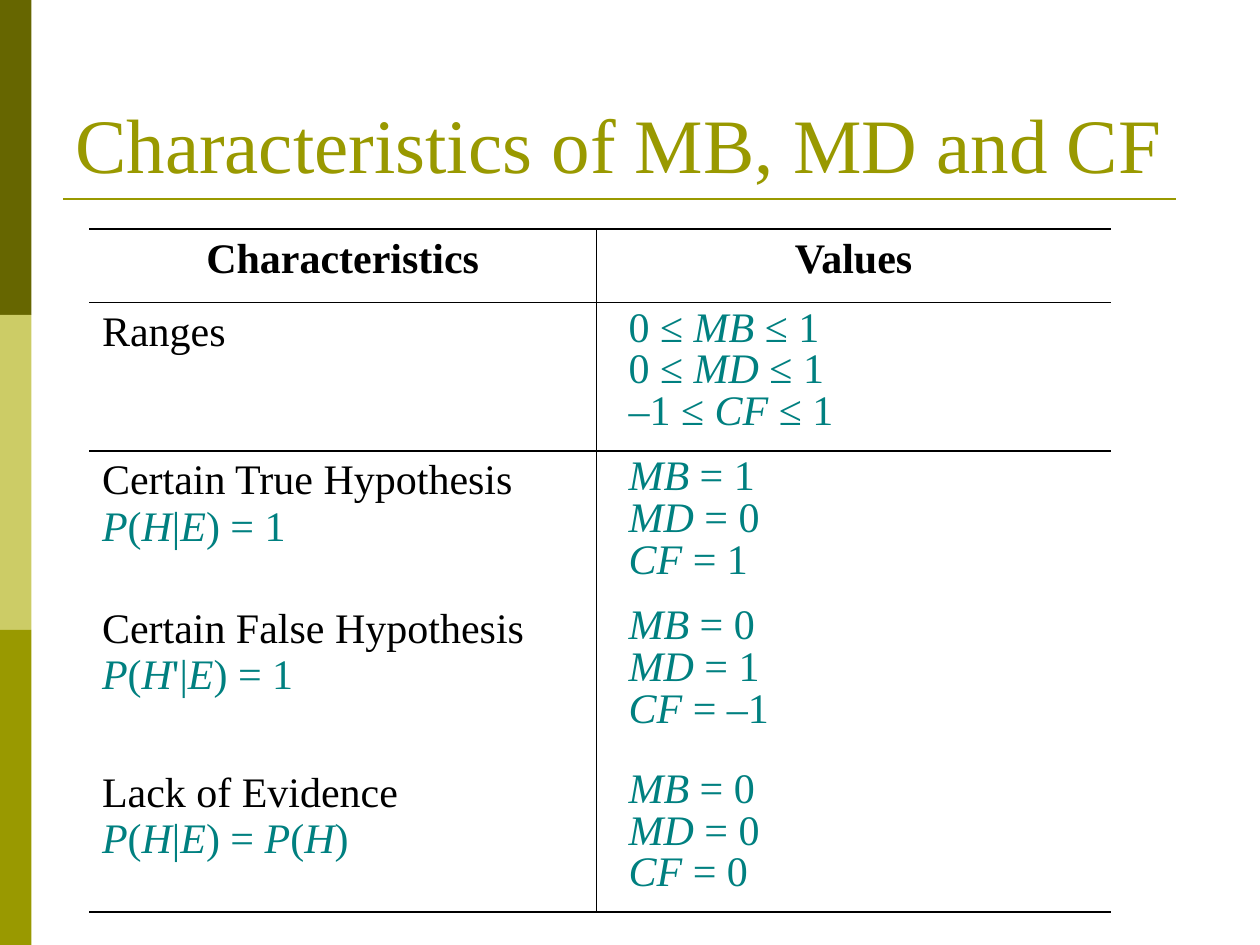
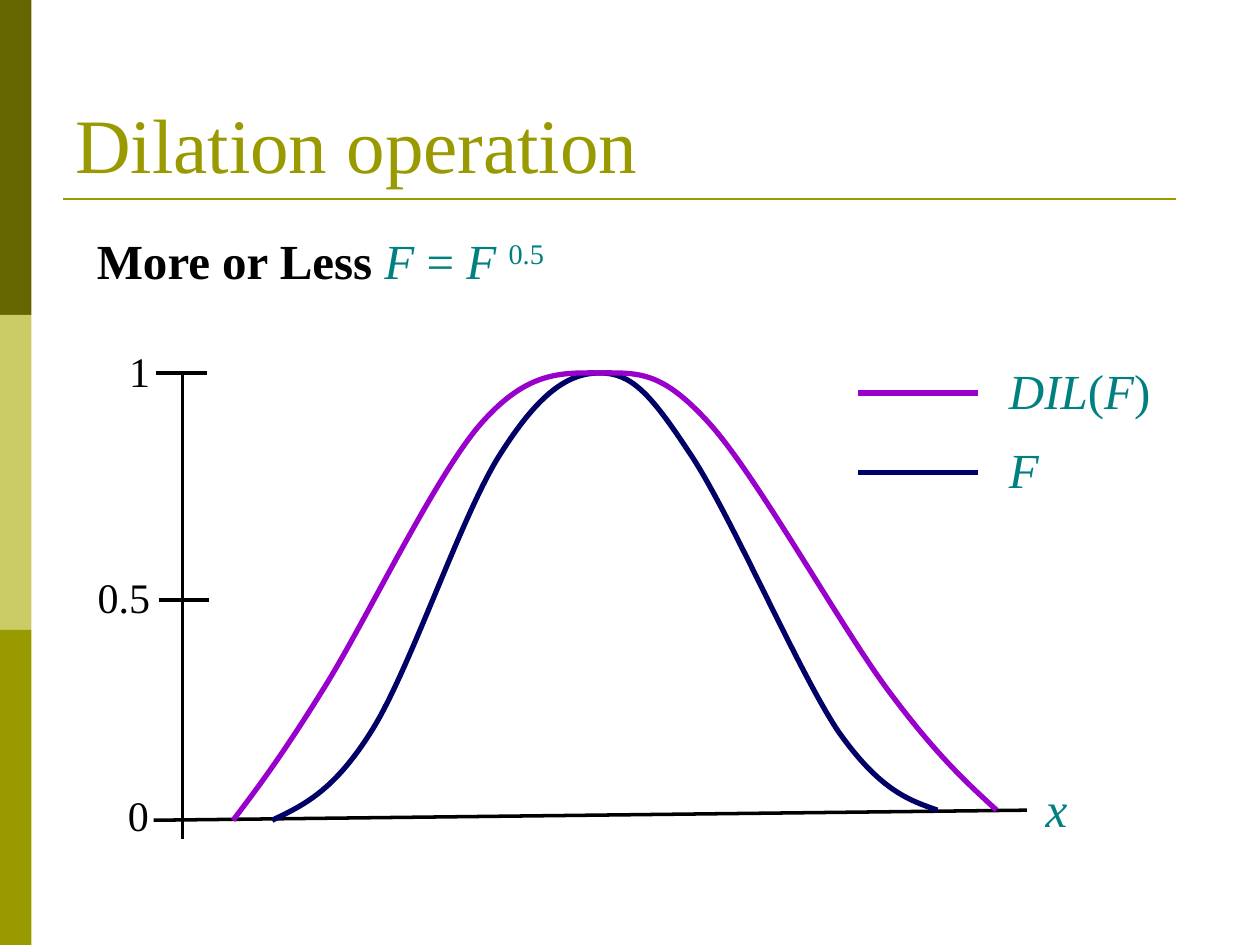
import pptx
import pptx.util
import pptx.dml.color
import pptx.enum.shapes
import pptx.enum.text
import pptx.oxml.ns
import lxml.etree

PX = 9144  # EMU per px, 100 px to the inch
FONT = "Times New Roman"
COLORS = {"dark": "666600", "light": "CCCC66", "olive": "999900", "teal": "008080",
          "black": "000000", "navy": "000066", "purple": "9900CC"}
RGB = {k: pptx.dml.color.RGBColor.from_string(v) for k, v in COLORS.items()}
LEFT, CENTER, RIGHT = (pptx.enum.text.PP_ALIGN.LEFT, pptx.enum.text.PP_ALIGN.CENTER,
                       pptx.enum.text.PP_ALIGN.RIGHT)
TOP, BOTTOM = pptx.enum.text.MSO_ANCHOR.TOP, pptx.enum.text.MSO_ANCHOR.BOTTOM
qn = pptx.oxml.ns.qn


def write(p, text, size, color, align=LEFT):
    """Fill a paragraph; asterisks switch italics on and off."""
    p.alignment = align
    p.font.name, p.font.size, p.font.color.rgb = FONT, pptx.util.Pt(size), RGB[color]
    for i, part in enumerate(text.split("*")):
        if part:
            r = p.add_run()
            r.text = part
            r.font.name, r.font.size = FONT, pptx.util.Pt(size)
            r.font.color.rgb, r.font.italic = RGB[color], i % 2 == 1


def add_line(slide, x1, y1, x2, y2, color, width):
    line = slide.shapes.add_connector(pptx.enum.shapes.MSO_CONNECTOR.STRAIGHT,
                                      x1 * PX, y1 * PX, x2 * PX, y2 * PX)
    line.line.color.rgb, line.line.width = RGB[color], pptx.util.Pt(width)
    lxml.etree.SubElement(line._element.spPr, qn("a:effectLst"))


prs = pptx.Presentation()
prs.slide_width, prs.slide_height = 1000 * PX, 750 * PX

# Shared frame: side bands and title rule
slides = []
for _ in range(2):
    slide = prs.slides.add_slide(prs.slide_layouts[6])
    for i, color in enumerate(["dark", "light", "olive"]):
        sp = slide.shapes.add_shape(pptx.enum.shapes.MSO_SHAPE.RECTANGLE,
                                    0, i * 250 * PX, 25 * PX, 250 * PX)
        sp.shadow.inherit = False
        sp.fill.solid()
        sp.fill.fore_color.rgb = RGB[color]
        sp.line.fill.background()
    add_line(slide, 50, 158, 933, 158, "olive", 1.5)
    slides.append(slide)
table_slide, chart_slide = slides

# All text boxes: titles, formula, axis labels, legend labels
texts = [
    (table_slide, (50, 30, 900, 125), "Characteristics of MB, MD and CF", 44, "olive", LEFT, BOTTOM),
    (chart_slide, (50, 30, 900, 125), "Dilation operation", 44, "olive", LEFT, BOTTOM),
    (chart_slide, (67, 178, 425, 57), "More or Less |*F* = *F *|0.5", 28, "teal", LEFT, TOP),
    (chart_slide, (791, 613, 95, 57), "*x*", 28, "teal", CENTER, TOP),
    (chart_slide, (65, 622, 63, 50), "0", 24, "black", RIGHT, TOP),
    (chart_slide, (50, 449, 79, 50), "0.5", 24, "black", RIGHT, TOP),
    (chart_slide, (50, 269, 79, 50), "1", 24, "black", RIGHT, TOP),
    (chart_slide, (791, 281, 150, 57), "*DIL*(*F*)", 28, "teal", LEFT, TOP),
    (chart_slide, (791, 344, 150, 57), "*F*", 28, "teal", LEFT, TOP),
]
for slide, box, text, size, color, align, anchor in texts:
    tf = slide.shapes.add_textbox(*[v * PX for v in box]).text_frame
    tf.word_wrap, tf.vertical_anchor = True, anchor
    p = tf.paragraphs[0]
    if "|" in text:
        lead, formula, power = text.split("|")
        write(p, lead, size, "black")
        p.runs[0].font.bold = True
        write(p, formula, size, color)
        write(p, power, size, color)
        p.runs[-1]._r.get_or_add_rPr().set("baseline", "30000")
    else:
        write(p, text, size, color, align)

# Table of characteristics and values
rows = [
    (58, ["Characteristics"], ["Values"]),
    (118, ["Ranges"], ["0 ≤ *MB* ≤ 1", "0 ≤ *MD* ≤ 1", "–1 ≤ *CF* ≤ 1"]),
    (118, ["Certain True Hypothesis", "*P*(*H*|*E*) = 1"], ["*MB* = 1", "*MD* = 0", "*CF* = 1"]),
    (130, ["Certain False Hypothesis", "*P*(*H*'|*E*) = 1"], ["*MB* = 0", "*MD* = 1", "*CF* = –1"]),
    (118, ["Lack of Evidence", "*P*(*H*|*E*) = *P*(*H*)"], ["*MB* = 0", "*MD* = 0", "*CF* = 0"]),
]
widths = [402, 409]
frame = table_slide.shapes.add_table(len(rows), 2, 71 * PX, 182 * PX, sum(widths) * PX,
                                     sum(row[0] for row in rows) * PX)
table = frame.table
table.first_row = table.horz_banding = False
table._tbl.tblPr.find(qn("a:tableStyleId")).text = "{2D5ABB26-0587-4C30-8999-92F81FD0307C}"
for column, width in zip(table.columns, widths):
    column.width = width * PX

for i, (height, *row) in enumerate(rows):
    table.rows[i].height = height * PX
    for j, lines in enumerate(row):
        cell = table.cell(i, j)
        is_value = i > 0 and j == 1
        cell.margin_left = (26 if is_value else 10) * PX
        cell.margin_right = 10 * PX
        cell.margin_top = cell.margin_bottom = 5 * PX
        cell.fill.background()
        for k, text in enumerate(lines):
            p = cell.text_frame.paragraphs[0] if k == 0 else cell.text_frame.add_paragraph()
            write(p, text, 24, "teal" if is_value or k else "black", LEFT if i else CENTER)
            if i == 0:
                p.font.bold = True
                p.runs[0].font.bold = True
            if is_value:
                p.line_spacing = 0.9
        # Divider between columns; rules around the header and at the foot
        borders = [("a:lnR" if j == 0 else "a:lnL", 0.45)]
        if i < 2:
            borders.append(("a:lnT", 1.08))
        if i in (0, len(rows) - 1):
            borders.append(("a:lnB", 1.08))
        for k, (tag, width) in enumerate(borders):
            ln = lxml.etree.Element(qn(tag), w=str(pptx.util.Pt(width)))
            fill = lxml.etree.SubElement(ln, qn("a:solidFill"))
            lxml.etree.SubElement(fill, qn("a:srgbClr"), val=COLORS["black"])
            cell._tc.get_or_add_tcPr().insert(k, ln)

# Axes, ticks and legend lines
for ends in [(145, 666, 145, 296), (815, 643, 122, 651),
             (124, 296, 164, 296), (126, 476, 166, 476)]:
    add_line(chart_slide, *ends, "black", 2)
for y, color in [(375, "navy"), (312, "purple")]:
    add_line(chart_slide, 681, y, 776, y, color, 3)

# Membership curves: a start point, then three Bézier points per segment
curves = {
    "navy": [(216, 651), (241, 639), (265, 628), (295, 580), (326, 531), (367, 406), (398, 359),
             (428, 312), (451, 296), (476, 296), (501, 296), (516, 312), (547, 359),
             (579, 406), (633, 532), (665, 580), (698, 627), (721, 635), (744, 643)],
    "purple": [(185, 651), (204, 626), (223, 601), (256, 548), (289, 496), (345, 378), (382, 336),
               (419, 294), (446, 296), (476, 296), (507, 296), (525, 294), (563, 336),
               (601, 378), (667, 497), (705, 548), (743, 599), (767, 621), (791, 643)],
}
for color, points in curves.items():
    builder = chart_slide.shapes.build_freeform(*points[0], scale=PX)
    builder.add_line_segments(points[1:], close=False)
    sp = builder.convert_to_shape()
    sp.shadow.inherit = False
    sp.fill.background()
    sp.line.color.rgb, sp.line.width = RGB[color], pptx.util.Pt(3)
    outline = sp._element.find(".//" + qn("a:path"))
    segments = outline.findall(qn("a:lnTo"))
    for i in range(0, len(segments), 3):
        bezier = lxml.etree.SubElement(outline, qn("a:cubicBezTo"))
        for segment in segments[i:i + 3]:
            bezier.append(segment[0])
            outline.remove(segment)

prs.save("out.pptx")
